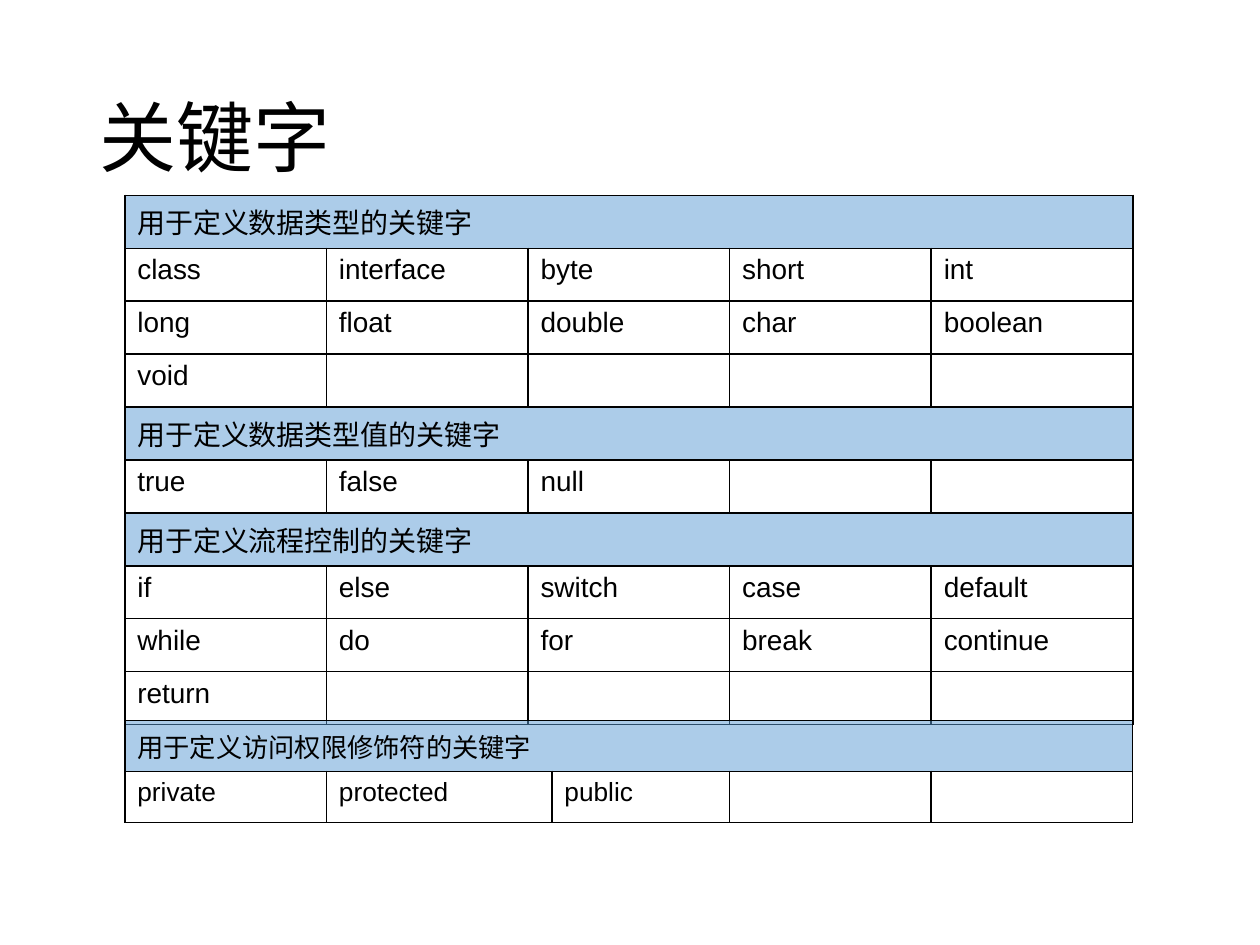
from lxml import etree
from pptx import Presentation
from pptx.dml.color import RGBColor
from pptx.enum import text
from pptx.oxml import ns
from pptx.util import Inches, Pt


def color(value):
    return RGBColor.from_string(value)


class KeywordSlide:
    INK = "000000"
    BAND = "5B9BD5"
    BAND_ALPHA = 50
    BORDER = 1

    def __init__(self, prs):
        self.s = prs.slides.add_slide(prs.slide_layouts[5])

    def style(self, p, font, size):
        for r in p.runs:
            r.font.name = font
            r.font.size = Pt(size)
            r.font.color.rgb = color(self.INK)

    def title(self, label, left, top, width, height):
        sp = self.s.shapes.title
        sp.left, sp.top = Inches(left), Inches(top)
        sp.width, sp.height = Inches(width), Inches(height)
        tf = sp.text_frame
        tf.text = label
        tf.vertical_anchor = text.MSO_ANCHOR.MIDDLE
        p = tf.paragraphs[0]
        p.alignment = text.PP_ALIGN.LEFT
        p.line_spacing = 0.9
        self.style(p, "Calibri", 44)

    def borders(self, cell):
        props = cell._tc.get_or_add_tcPr()
        for side in ("lnL", "lnR", "lnT", "lnB"):
            line = etree.SubElement(props, ns.qn(f"a:{side}"), w=str(Pt(self.BORDER)))
            fill = etree.SubElement(line, ns.qn("a:solidFill"))
            etree.SubElement(fill, ns.qn("a:srgbClr"), val=self.INK)

    def band(self, cell):
        cell.fill.solid()
        cell.fill.fore_color.rgb = color(self.BAND)
        rgb = cell._tc.tcPr.find(".//" + ns.qn("a:solidFill") + "[last()]/" + ns.qn("a:srgbClr"))
        for fill in cell._tc.tcPr.findall(ns.qn("a:solidFill")):
            rgb = fill.find(ns.qn("a:srgbClr"))
        etree.SubElement(rgb, ns.qn("a:alpha"), val=str(self.BAND_ALPHA * 1000))

    def table(self, rows, left, top, widths, heights, size):
        frame = self.s.shapes.add_table(
            len(rows), len(widths), Inches(left), Inches(top),
            Inches(sum(widths)), Inches(sum(heights)))
        table = frame.table
        table.first_row = table.horz_banding = False
        for column, width in zip(table.columns, widths):
            column.width = Inches(width)
        for i, (words, height) in enumerate(zip(rows, heights)):
            table.rows[i].height = Inches(height)
            is_heading = isinstance(words, str)
            labels = [words] if is_heading else words
            if is_heading:
                table.cell(i, 0).merge(table.cell(i, len(widths) - 1))
            for j in range(len(widths)):
                cell = table.cell(i, j)
                self.borders(cell)
                if is_heading:
                    self.band(cell)
                else:
                    cell.fill.background()
                if j < len(labels):
                    cell.text_frame.text = labels[j]
                    self.style(cell.text_frame.paragraphs[0], "Arial", size)


def main():
    prs = Presentation()
    prs.slide_width, prs.slide_height = Inches(10), Inches(7.5)
    slide = KeywordSlide(prs)
    slide.title("关键字", 0.69, 0.4, 8.62, 1.45)
    language_rows = [
        "用于定义数据类型的关键字",
        ["class", "interface", "byte", "short", "int"],
        ["long", "float", "double", "char", "boolean"],
        ["void"],
        "用于定义数据类型值的关键字",
        ["true", "false", "null"],
        "用于定义流程控制的关键字",
        ["if", "else", "switch", "case", "default"],
        ["while", "do", "for", "break", "continue"],
        ["return"],
    ]
    access_rows = [
        "用于定义访问权限修饰符的关键字",
        ["private", "protected", "public"],
    ]
    slide.table(language_rows, 0.99, 1.55, [1.6] * 5, [0.42] * len(language_rows), 16)
    slide.table(access_rows, 0.99, 5.72, [1.6, 1.79, 1.41, 1.6, 1.6], [0.39, 0.36], 15)
    prs.save("out.pptx")


if __name__ == "__main__":
    main()
